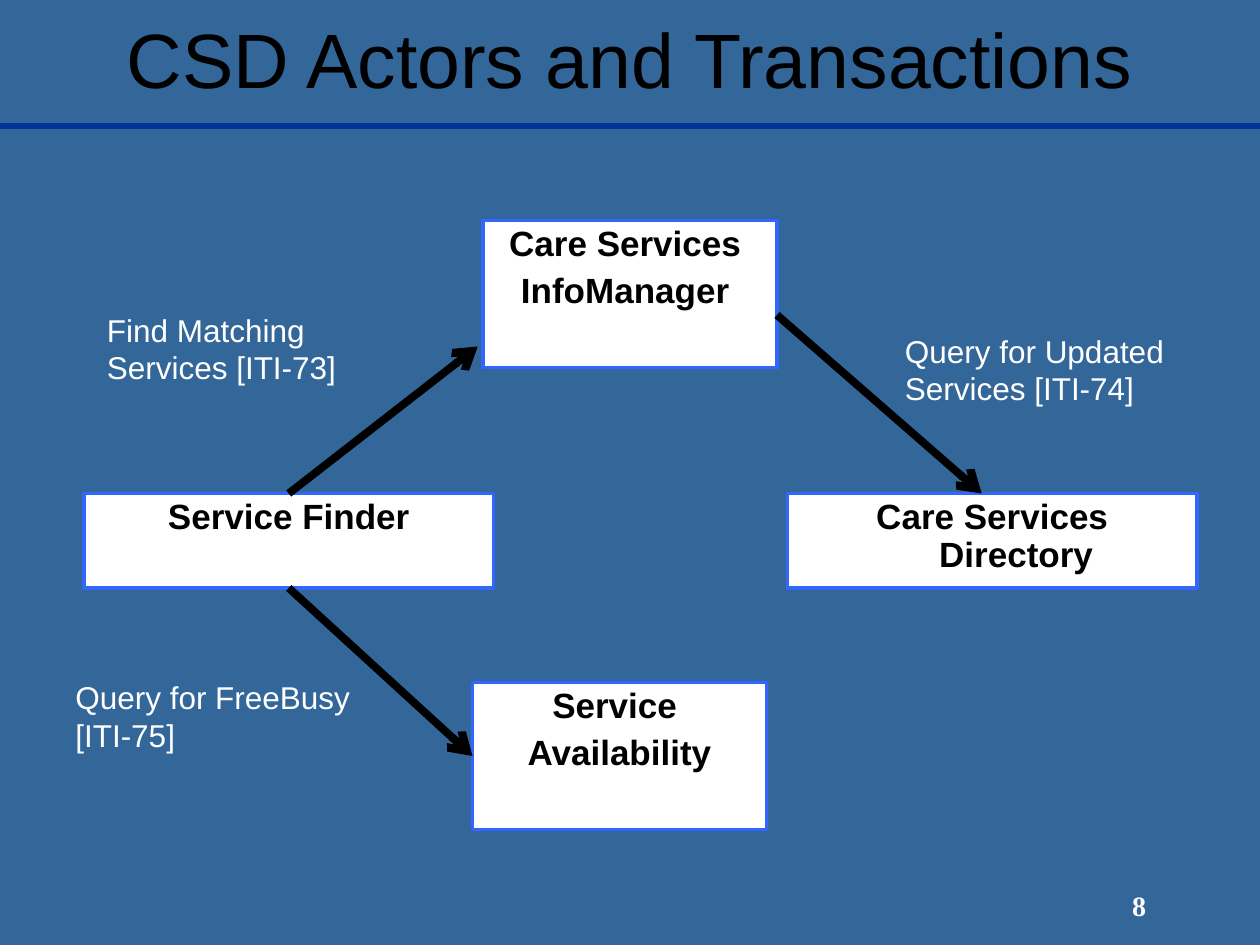
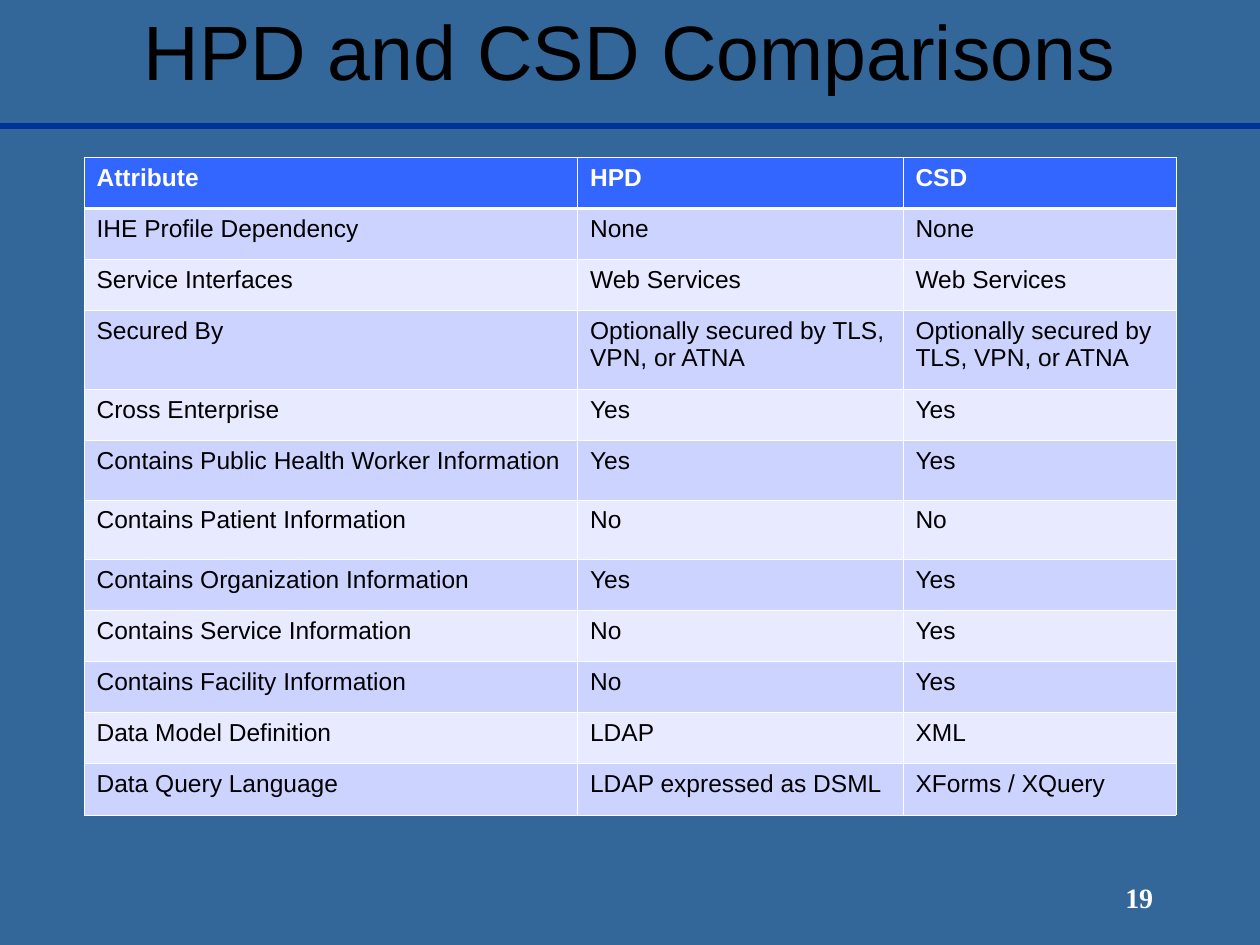
import pptx
import pptx.util
import pptx.dml.color
import pptx.enum.shapes
import pptx.enum.text
import pptx.oxml
import pptx.oxml.ns

COLOURS = {
    "background": "336699",
    "rule": "003399",
    "accent": "3366FF",
    "ink": "000000",
    "white": "FFFFFF",
    "band_dark": "CDD3FF",
    "band_light": "E8EAFF",
}
SANS, SERIF = "Arial", "Times New Roman"
COLUMNS, ROWS = 120, 90
BOX_HEIGHT, BOX_WIDTH = 14, 28      # central actors
WIDE_HEIGHT, WIDE_WIDTH = 9, 39     # side actors
TOP, LEFT, BOTTOM = 0, 1, 2         # connection sites
CENTRE = pptx.enum.text.PP_ALIGN.CENTER


def colour(name):
    return pptx.dml.color.RGBColor.from_string(COLOURS[name])


def element(tag, **attributes):
    node = pptx.oxml.parse_xml(f"<a:{tag} {pptx.oxml.ns.nsdecls('a')}/>")
    for key, value in attributes.items():
        node.set(key, str(value))
    return node


class Painter:
    """Holds the deck, its style and the current page."""

    def __init__(self):
        self.deck = pptx.Presentation()
        self.deck.slide_width = pptx.util.Inches(10)
        self.deck.slide_height = pptx.util.Inches(7.5)
        fill = self.deck.slide_master.background.fill
        fill.solid()
        fill.fore_color.rgb = colour("background")
        self.page = None

    def x(self, columns):
        return round(self.deck.slide_width * columns / COLUMNS)

    def y(self, rows):
        return round(self.deck.slide_height * rows / ROWS)

    def place(self, left, top, width, height):
        return self.x(left), self.y(top), self.x(width), self.y(height)

    def new_page(self, title, number, lift=0):
        """Start a page with its rule, number and title; lift raises the texts."""
        self.page = self.deck.slides.add_slide(self.deck.slide_layouts[6])
        self.line((0, 12), (COLUMNS, 12), "rule", 3)
        footer = self.text((100, 83.2 - lift, 17, 6), number, 16, "white",
                           font=SERIF, bold=True, align=CENTRE)
        footer.text_frame.vertical_anchor = pptx.enum.text.MSO_ANCHOR.MIDDLE
        self.text((9, 0.5 - lift, 102, 11.25), title, 44, "ink", align=CENTRE)

    def add_words(self, para, words, size, ink, font=SANS, bold=False, align=None):
        para.alignment = align
        span = para.add_run()
        span.text = words
        span.font.name = font
        span.font.size = pptx.util.Pt(size)
        span.font.bold = bold
        span.font.color.rgb = colour(ink)

    def text(self, area, words, size, ink, **style):
        box = self.page.shapes.add_textbox(*self.place(*area))
        box.text_frame.word_wrap = True
        self.add_words(box.text_frame.paragraphs[0], words, size, ink, **style)
        return box

    def label(self, left, top, words):
        box = self.text((left, top, 30, 8.4), words, 18, "white")
        box.text_frame.auto_size = pptx.enum.text.MSO_AUTO_SIZE.SHAPE_TO_FIT_TEXT

    def actor(self, area, *lines):
        box = self.page.shapes.add_shape(
            pptx.enum.shapes.MSO_SHAPE.RECTANGLE, *self.place(*area))
        box.shadow.inherit = False
        box.fill.solid()
        box.fill.fore_color.rgb = colour("white")
        box.line.color.rgb = colour("accent")
        box.line.width = pptx.util.Pt(2)
        frame = box.text_frame
        frame.word_wrap = True
        frame.vertical_anchor = pptx.enum.text.MSO_ANCHOR.TOP
        indent = pptx.util.Inches(0.38)
        for index, words in enumerate(lines):
            para = frame.add_paragraph() if index else frame.paragraphs[0]
            properties = para._p.get_or_add_pPr()
            properties.set("marL", str(indent))
            properties.set("indent", str(-indent))
            para.line_spacing = 0.9
            para.space_before = pptx.util.Pt(5 if index else 0)
            self.add_words(para, words, 20, "ink", bold=True, align=CENTRE)
        return box

    def line(self, start, end, ink, width):
        line = self.page.shapes.add_connector(
            pptx.enum.shapes.MSO_CONNECTOR.STRAIGHT,
            self.x(start[0]), self.y(start[1]), self.x(end[0]), self.y(end[1]))
        line.line.color.rgb = colour(ink)
        line.line.width = pptx.util.Pt(width)
        line._element.spPr.append(element("effectLst"))
        return line

    def arrow(self, start, end):
        arrow = self.line(start, end, "ink", 4.5)
        arrow.line._get_or_add_ln().append(element("tailEnd", type="arrow"))
        return arrow

    def border(self, cell, side, width):
        edge = element(f"ln{side}", w=pptx.util.Pt(width))
        fill = element("solidFill")
        fill.append(element("srgbClr", val=COLOURS["white"]))
        edge.append(fill)
        cell._tc.get_or_add_tcPr().append(edge)

    def table(self, left, top, widths, heights, records):
        table = self.page.shapes.add_table(
            len(records), len(widths),
            *self.place(left, top, sum(widths), sum(heights))).table
        table.horz_banding = False
        for column, width in zip(table.columns, widths):
            column.width = self.x(width)
        for row, height in zip(table.rows, heights):
            row.height = self.y(height)
        for row, record in enumerate(records):
            header = row == 0
            band = "accent" if header else "band_dark" if row % 2 else "band_light"
            for column, words in enumerate(record):
                cell = table.cell(row, column)
                for side in "LRTB":
                    heavy = (row, side) in ((0, "B"), (1, "T"))
                    self.border(cell, side, 1.47 if heavy else 0.45)
                cell.fill.solid()
                cell.fill.fore_color.rgb = colour(band)
                self.add_words(cell.text_frame.paragraphs[0], words, 14,
                               "white" if header else "ink", bold=header)


def draw_actors(painter):
    painter.new_page("CSD Actors and Transactions", "8")
    # Actors
    painter.actor((46, 21, BOX_WIDTH, BOX_HEIGHT), "Care Services ", "InfoManager ")
    finder = painter.actor((8, 47, WIDE_WIDTH, WIDE_HEIGHT), "Service Finder")
    painter.actor((75, 47, WIDE_WIDTH, WIDE_HEIGHT), "Care Services Directory")
    availability = painter.actor((45, 65, BOX_WIDTH, BOX_HEIGHT),
                                 "Service ", "Availability")
    # Transactions
    find = painter.arrow((27.5, 47), (45.5, 33))
    find.begin_connect(finder, TOP)
    painter.arrow((74, 30), (93.5, 47))
    free_busy = painter.arrow((27.5, 56), (45, 72))
    free_busy.begin_connect(finder, BOTTOM)
    free_busy.end_connect(availability, LEFT)
    # Transaction names
    painter.label(9, 29, "Find Matching Services [ITI-73]")
    painter.label(85, 31, "Query for Updated Services [ITI-74]")
    painter.label(6, 64, "Query for FreeBusy [ITI-75]")


def draw_comparison(painter):
    painter.new_page("HPD and CSD Comparisons", "19", lift=0.75)
    secured = "Optionally secured by TLS, VPN, or ATNA"
    records = [
        ("Attribute", "HPD", "CSD"),
        ("IHE Profile Dependency", "None", "None"),
        ("Service Interfaces", "Web Services", "Web Services"),
        ("Secured By", secured, secured),
        ("Cross Enterprise", "Yes", "Yes"),
        ("Contains Public Health Worker Information", "Yes", "Yes"),
        ("Contains Patient Information", "No", "No"),
        ("Contains Organization Information", "Yes", "Yes"),
        ("Contains Service Information", "No", "Yes"),
        ("Contains Facility Information", "No", "Yes"),
        ("Data Model Definition", "LDAP", "XML"),
        ("Data Query Language", "LDAP expressed as DSML", "XForms / XQuery"),
    ]
    tall = {3: 7.5, 5: 5.66, 6: 5.66}
    heights = [tall.get(row, 4.87) for row in range(len(records))]
    painter.table(8, 15, (47, 31, 26), heights, records)


def main():
    painter = Painter()
    draw_actors(painter)
    draw_comparison(painter)
    painter.deck.save("out.pptx")


if __name__ == "__main__":
    main()
